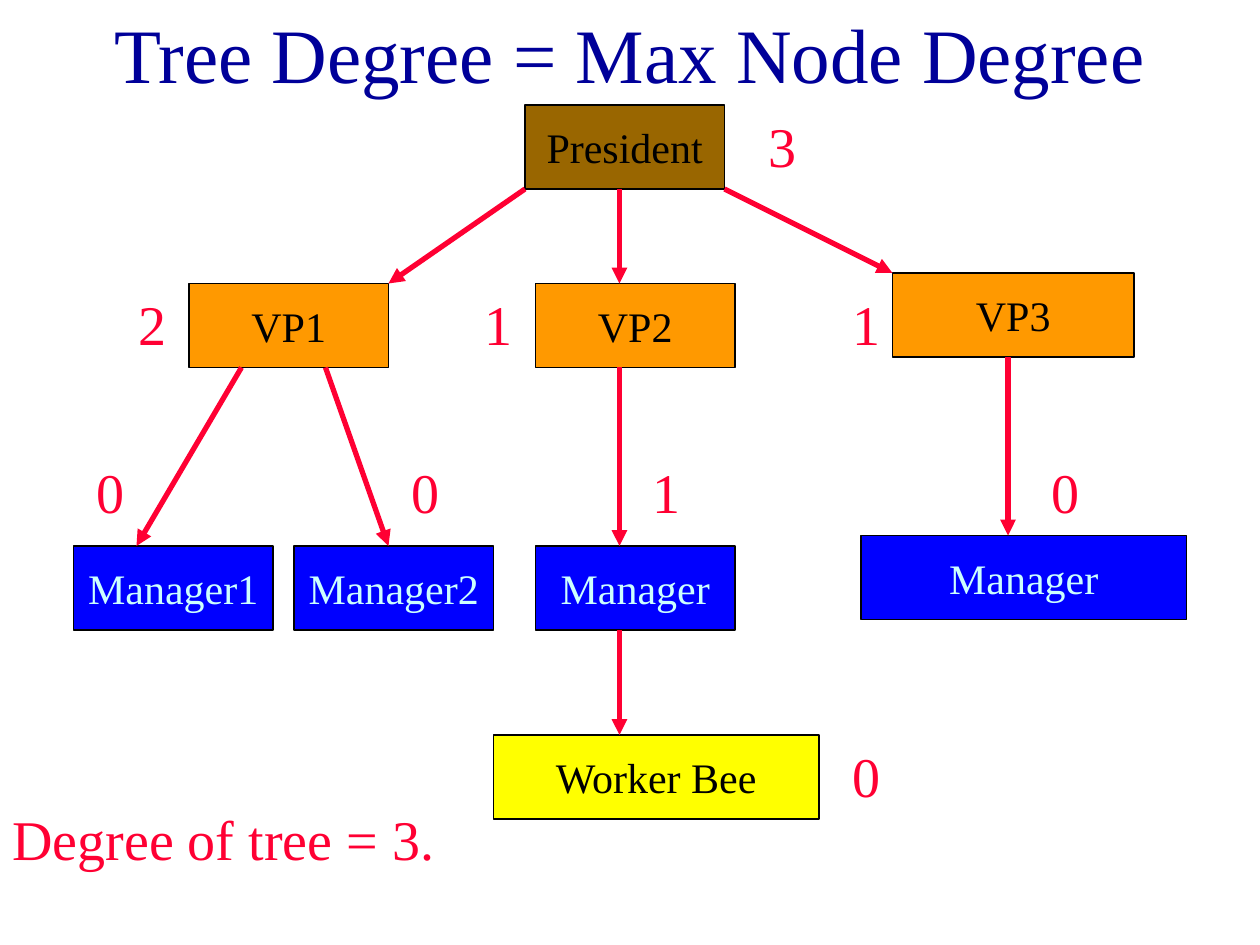
from collections import Counter
from dataclasses import dataclass

from lxml.etree import SubElement
from pptx import Presentation
from pptx.dml.color import RGBColor
from pptx.enum.shapes import MSO_CONNECTOR as Connector, MSO_SHAPE as Shape
from pptx.enum.text import MSO_ANCHOR as Anchor, PP_ALIGN as Align
from pptx.oxml.ns import qn
from pptx.util import Pt


@dataclass(frozen=True)
class Theme:
    font: str = "Times New Roman"
    title_size: int = 44
    note_size: int = 32
    node_size: int = 24
    title: str = "000099"
    accent: str = "FF0033"
    black: str = "000000"
    pale: str = "CCFFFF"
    president: str = "996600"
    vice_president: str = "FF9900"
    manager: str = "0000FF"
    worker: str = "FFFF00"


THEME = Theme()
NODE_HEIGHT = 48


@dataclass(frozen=True)
class Node:
    text: str
    left: int
    top: int
    width: int
    fill: str
    degree_at: tuple
    color: str = THEME.black


# Tree nodes, in points
NODES = {
    "president": Node("President", 300, 60, 114, THEME.president, (432, 60)),
    "vp1": Node("VP1", 108, 162, 114, THEME.vice_president, (72, 162)),
    "vp2": Node("VP2", 306, 162, 114, THEME.vice_president, (270, 162)),
    "vp3": Node("VP3", 510, 156, 138, THEME.vice_president, (480, 162)),
    "manager1": Node("Manager1", 42, 312, 114, THEME.manager, (48, 258), THEME.pale),
    "manager2": Node("Manager2", 168, 312, 114, THEME.manager, (228, 258), THEME.pale),
    "vp2_manager": Node("Manager", 306, 312, 114, THEME.manager, (366, 258), THEME.pale),
    "vp3_manager": Node("Manager", 492, 306, 186, THEME.manager, (594, 258), THEME.pale),
    "worker": Node("Worker Bee", 282, 420, 186, THEME.worker, (480, 420)),
}

# Parent, x on its bottom edge, child, x on its top edge
EDGES = [
    ("president", 354, "vp2", 354),
    ("president", 300, "vp1", 222),
    ("president", 414, "vp3", 510),
    ("vp1", 138, "manager1", 78),
    ("vp1", 186, "manager2", 222),
    ("vp2", 354, "vp2_manager", 354),
    ("vp3", 576, "vp3_manager", 576),
    ("vp2_manager", 354, "worker", 354),
]


def rgb(color):
    return RGBColor.from_string(color)


def write(shape, text, size, color, align=Align.LEFT, anchor=Anchor.TOP, wrap=True):
    frame = shape.text_frame
    frame.word_wrap = wrap
    frame.vertical_anchor = anchor
    paragraph = frame.paragraphs[0]
    paragraph.text = text
    paragraph.alignment = align
    paragraph.font.name = THEME.font
    paragraph.font.size = Pt(size)
    paragraph.font.color.rgb = rgb(color)


def add_text(slide, box, text, size, color, **layout):
    shape = slide.shapes.add_textbox(*map(Pt, box))
    write(shape, text, size, color, **layout)


def add_node(slide, node):
    shape = slide.shapes.add_shape(
        Shape.RECTANGLE, Pt(node.left), Pt(node.top), Pt(node.width), Pt(NODE_HEIGHT))
    shape.shadow.inherit = False
    shape.fill.solid()
    shape.fill.fore_color.rgb = rgb(node.fill)
    shape.line.color.rgb = rgb(THEME.black)
    shape.line.width = Pt(1)
    write(shape, node.text, THEME.node_size, node.color,
          align=Align.CENTER, anchor=Anchor.MIDDLE, wrap=False)


def add_arrow(slide, parent, start_x, child, end_x):
    arrow = slide.shapes.add_connector(
        Connector.STRAIGHT, Pt(start_x), Pt(parent.top + NODE_HEIGHT),
        Pt(end_x), Pt(child.top))
    arrow.line.color.rgb = rgb(THEME.accent)
    arrow.line.width = Pt(3)
    SubElement(arrow.line._get_or_add_ln(), qn("a:tailEnd"), type="triangle")
    SubElement(arrow._element.spPr, qn("a:effectLst"))


def main():
    presentation = Presentation()
    presentation.slide_width, presentation.slide_height = Pt(720), Pt(540)
    slide = presentation.slides.add_slide(presentation.slide_layouts[6])

    # Title and conclusion
    add_text(slide, (0, 0, 720, 60), "Tree Degree = Max Node Degree",
             THEME.title_size, THEME.title, align=Align.CENTER, anchor=Anchor.MIDDLE)
    add_text(slide, (0, 456, 282, 46), "Degree of tree = 3.",
             THEME.note_size, THEME.accent)

    # Tree
    for node in NODES.values():
        add_node(slide, node)
    for parent, start_x, child, end_x in EDGES:
        add_arrow(slide, NODES[parent], start_x, NODES[child], end_x)

    # Node degrees: the number of children of each node
    degrees = Counter(edge[0] for edge in EDGES)
    for name, node in NODES.items():
        add_text(slide, (*node.degree_at, 36, 46), str(degrees[name]),
                 THEME.note_size, THEME.accent)

    presentation.save("out.pptx")


if __name__ == "__main__":
    main()
